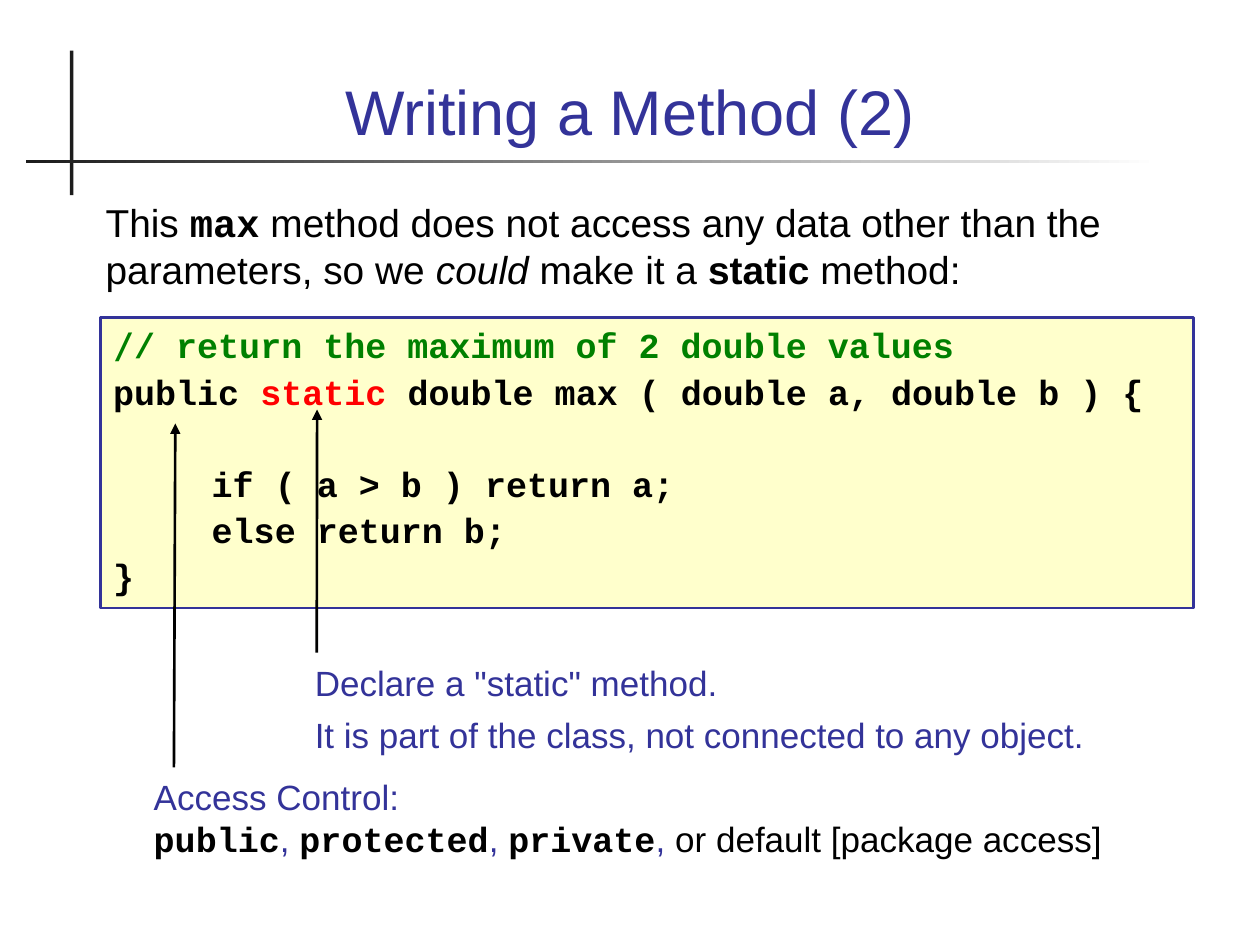
from lxml.etree import SubElement
from pptx import Presentation
from pptx.dml.color import RGBColor
from pptx.enum.shapes import MSO_CONNECTOR as Connector, MSO_SHAPE as Preset
from pptx.enum.text import MSO_ANCHOR as Anchor, PP_ALIGN as Align
from pptx.oxml.ns import qn
from pptx.util import Pt

INDIGO = RGBColor(0x33, 0x33, 0x99)
BLACK = RGBColor(0, 0, 0)
WHITE = RGBColor(0xFF, 0xFF, 0xFF)
CHARCOAL = RGBColor(0x1C, 0x1C, 0x1C)
CREAM = RGBColor(0xFF, 0xFF, 0xCC)
GREEN = RGBColor(0, 0x80, 0)
RED = RGBColor(0xFF, 0, 0)

SANS = "Arial"
MONO = "Courier New"
FALLBACK_MONO = "DejaVu Sans Mono"
TAB_STEP = 28.2


def sans(text, color=BLACK, bold=False, italic=False):
    return text, SANS, color, bold, italic


def code(text, color=BLACK, font=MONO):
    return text, font, color, True, False


class SlideBuilder:
    line_width = Pt(1.5)
    side_inset = Pt(7.2)
    end_inset = Pt(3.6)

    def __init__(self, slide):
        self.slide = slide

    def bar(self, left, top, width, height, fade_to=None):
        shape = self.slide.shapes.add_shape(
            Preset.RECTANGLE, Pt(left), Pt(top), Pt(width), Pt(height))
        shape.shadow.inherit = False
        shape.line.fill.background()
        if fade_to is None:
            shape.fill.solid()
            shape.fill.fore_color.rgb = CHARCOAL
            return
        shape.fill.gradient()
        shape.fill.gradient_angle = 0
        for stop, color in zip(shape.fill.gradient_stops, (CHARCOAL, fade_to)):
            stop.color.rgb = color

    def text(self, box, paragraphs, size, gaps=(),
             align=Align.LEFT, anchor=Anchor.TOP):
        shape = self.slide.shapes.add_textbox(*map(Pt, box))
        self.fill_text(shape, paragraphs, size, gaps, align, anchor)

    def code_panel(self, box, paragraphs, size, gaps):
        shape = self.slide.shapes.add_shape(Preset.RECTANGLE, *map(Pt, box))
        shape.shadow.inherit = False
        shape.fill.solid()
        shape.fill.fore_color.rgb = CREAM
        shape.line.color.rgb = INDIGO
        shape.line.width = self.line_width
        self.fill_text(shape, paragraphs, size, gaps, tabs=2)

    def fill_text(self, shape, paragraphs, size, gaps,
                  align=Align.LEFT, anchor=Anchor.TOP, tabs=0):
        frame = shape.text_frame
        frame.word_wrap = True
        frame.vertical_anchor = anchor
        frame.margin_left = frame.margin_right = self.side_inset
        frame.margin_top = frame.margin_bottom = self.end_inset
        for index, runs in enumerate(paragraphs):
            paragraph = frame.add_paragraph() if index else frame.paragraphs[0]
            paragraph.alignment = align
            if index:
                paragraph.space_before = Pt(gaps[index - 1])
            self.add_tabs(paragraph, tabs)
            for run in runs:
                if run is None:
                    paragraph.add_line_break()
                else:
                    self.add_run(paragraph, size, *run)

    def add_tabs(self, paragraph, count):
        if count:
            properties = paragraph._p.get_or_add_pPr()
            tab_list = SubElement(properties, qn("a:tabLst"))
            for number in range(1, count + 1):
                SubElement(tab_list, qn("a:tab"),
                           pos=str(Pt(TAB_STEP * number)), algn="l")

    def add_run(self, paragraph, size, text, font, color, bold, italic):
        run = paragraph.add_run()
        run.text = text
        run.font.name = font
        run.font.size = Pt(size)
        run.font.bold = bold
        run.font.italic = italic
        run.font.color.rgb = color

    def arrow(self, start, end):
        connector = self.slide.shapes.add_connector(
            Connector.STRAIGHT, *map(Pt, start + end))
        connector.line.color.rgb = BLACK
        connector.line.width = self.line_width
        SubElement(connector.line._get_or_add_ln(), qn("a:tailEnd"), type="triangle")
        SubElement(connector._element.spPr, qn("a:effectLst"))


def main():
    presentation = Presentation()
    presentation.slide_width = Pt(720)
    presentation.slide_height = Pt(540)
    builder = SlideBuilder(presentation.slides.add_slide(presentation.slide_layouts[6]))

    builder.bar(40, 29, 2, 82.5)
    builder.bar(15, 91.4, 647, 2, fade_to=WHITE)
    builder.text((48, 20, 624, 68), [[sans("Writing a Method (2)", INDIGO)]],
                 36, align=Align.CENTER, anchor=Anchor.BOTTOM)
    builder.text((53.3, 110, 623.5, 63.5), [[
        sans("This "), code("max"),
        sans(" method does not access any data other than the parameters, so we "),
        sans("could", italic=True), sans(" make it a "),
        sans("static", bold=True), sans(" method:"),
    ]], 22.2)

    builder.code_panel((57.5, 181.5, 624.5, 166), [
        [code("/", GREEN, FALLBACK_MONO),
         code("/ return the maximum of 2 double values", GREEN)],
        [code("public "), code("static", RED),
         code(" double max ( double a, double b ) {")],
        [code("\t\tif ( a > b ) return a;")],
        [code("\t\telse return b;")],
        [code("}")],
    ], 20, gaps=(2.5, 28.5, 2.5, 2.5))

    builder.arrow((99.4, 438.5), (100.2, 242))
    comma = sans(", ", INDIGO)
    builder.text((80.8, 439.5, 590.5, 55.5), [[
        sans("Access Control:", INDIGO), None,
        code("public"), comma, code("protected"), comma, code("private"), comma,
        sans("or default [package access]"),
    ]], 20)

    builder.arrow((181, 373), (181.2, 234))
    builder.text((172.8, 374.5, 457, 60.5), [
        [sans('Declare a "static" method.', INDIGO)],
        [sans("It is part of the class, not connected to any object.", INDIGO)],
    ], 20, gaps=(5.5,))

    presentation.save("out.pptx")


if __name__ == "__main__":
    main()
